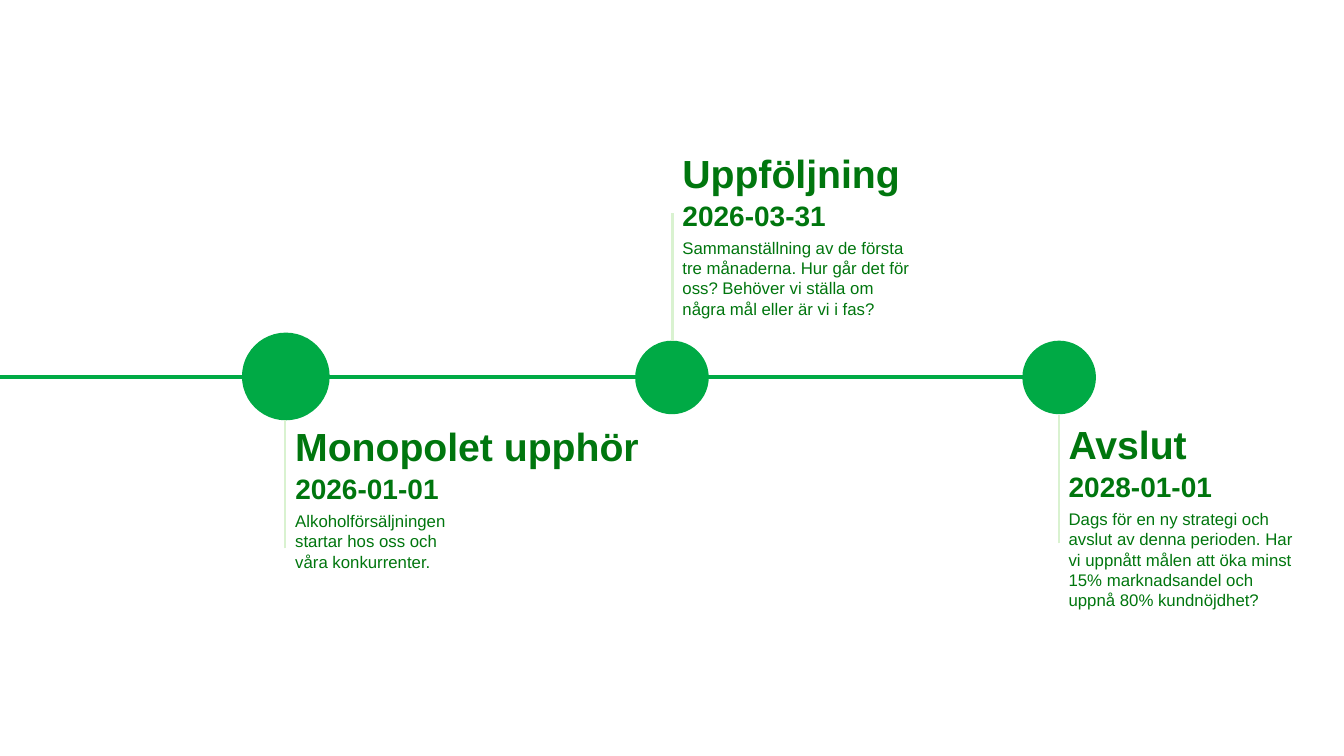
import pptx
import pptx.util
import pptx.dml.color
import pptx.enum.shapes
import pptx.oxml.ns
import lxml.etree

PX = 9144
GREEN = pptx.dml.color.RGBColor(0x00, 0xAA, 0x45)
DARK_GREEN = pptx.dml.color.RGBColor(0x00, 0x76, 0x0E)
PALE_GREEN = pptx.dml.color.RGBColor(0xD9, 0xF2, 0xD0)

AXIS_Y = 374
AXIS_END = 1062
STEM_LENGTH = 127
DATE_OFFSET = 49
BODY_OFFSET = 88

MILESTONES = [
    dict(center=(283, 373), diameter=87, stem_top=417, title_top=414,
         title_width=390, body_width=197, body_height=71,
         title="Monopolet upphör", date="2026-01-01",
         body="Alkoholförsäljningen startar hos oss och våra konkurrenter."),
    dict(center=(667, 375), diameter=73, stem_top=211, title_top=143,
         title_width=263, body_width=249, body_height=91,
         title="Uppföljning", date="2026-03-31",
         body="Sammanställning av de första tre månaderna. Hur går det för oss? "
              "Behöver vi ställa om några mål eller är vi i fas?"),
    dict(center=(1050, 375), diameter=73, stem_top=412, title_top=412,
         title_width=225, body_width=248, body_height=111,
         title="Avslut", date="2028-01-01",
         body="Dags för en ny strategi och avslut av denna perioden. Har vi "
              "uppnått målen att öka minst 15% marknadsandel och uppnå 80% "
              "kundnöjdhet?"),
]


def px(*lengths):
    return [pptx.util.Emu(length * PX) for length in lengths]


def add_line(slide, start, end, color, width):
    line = slide.shapes.add_connector(
        pptx.enum.shapes.MSO_CONNECTOR.STRAIGHT, *px(*start, *end))
    line.line.color.rgb = color
    line.line.width = pptx.util.Pt(width)
    lxml.etree.SubElement(line._element.spPr, pptx.oxml.ns.qn("a:effectLst"))


def add_label(slide, box, text, size, bold=False):
    label = slide.shapes.add_textbox(*px(*box))
    label.text_frame.word_wrap = True
    paragraph = label.text_frame.paragraphs[0]
    paragraph.text = text
    paragraph.font.name = "Arial"
    paragraph.font.size = pptx.util.Pt(size)
    paragraph.font.bold = bold
    paragraph.font.color.rgb = DARK_GREEN


def add_marker(slide, center, diameter):
    left, top = (round(middle - diameter / 2) for middle in center)
    marker = slide.shapes.add_shape(
        pptx.enum.shapes.MSO_SHAPE.OVAL, *px(left, top, diameter, diameter))
    marker.shadow.inherit = False
    marker.fill.solid()
    marker.fill.fore_color.rgb = GREEN
    marker.line.fill.background()


def add_milestone(slide, milestone):
    left = milestone["center"][0]
    top = milestone["title_top"]
    stem_top = milestone["stem_top"]
    add_line(slide, (left, stem_top + STEM_LENGTH), (left, stem_top), PALE_GREEN, 1.5)
    add_label(slide, (left, top, milestone["title_width"], 77),
              milestone["title"], 28, True)
    add_label(slide, (left, top + BODY_OFFSET, milestone["body_width"],
                      milestone["body_height"]), milestone["body"], 12)
    add_label(slide, (left, top + DATE_OFFSET, 188, 61), milestone["date"], 20, True)


def add_timeline(slide, milestones):
    for milestone in milestones:
        add_marker(slide, milestone["center"], milestone["diameter"])
    add_line(slide, (0, AXIS_Y), (AXIS_END, AXIS_Y), GREEN, 2.5)
    for milestone in milestones:
        add_milestone(slide, milestone)


def main():
    presentation = pptx.Presentation()
    presentation.slide_width, presentation.slide_height = px(1333, 750)
    slide = presentation.slides.add_slide(presentation.slide_layouts[6])
    add_timeline(slide, MILESTONES)
    presentation.save("out.pptx")


if __name__ == "__main__":
    main()
